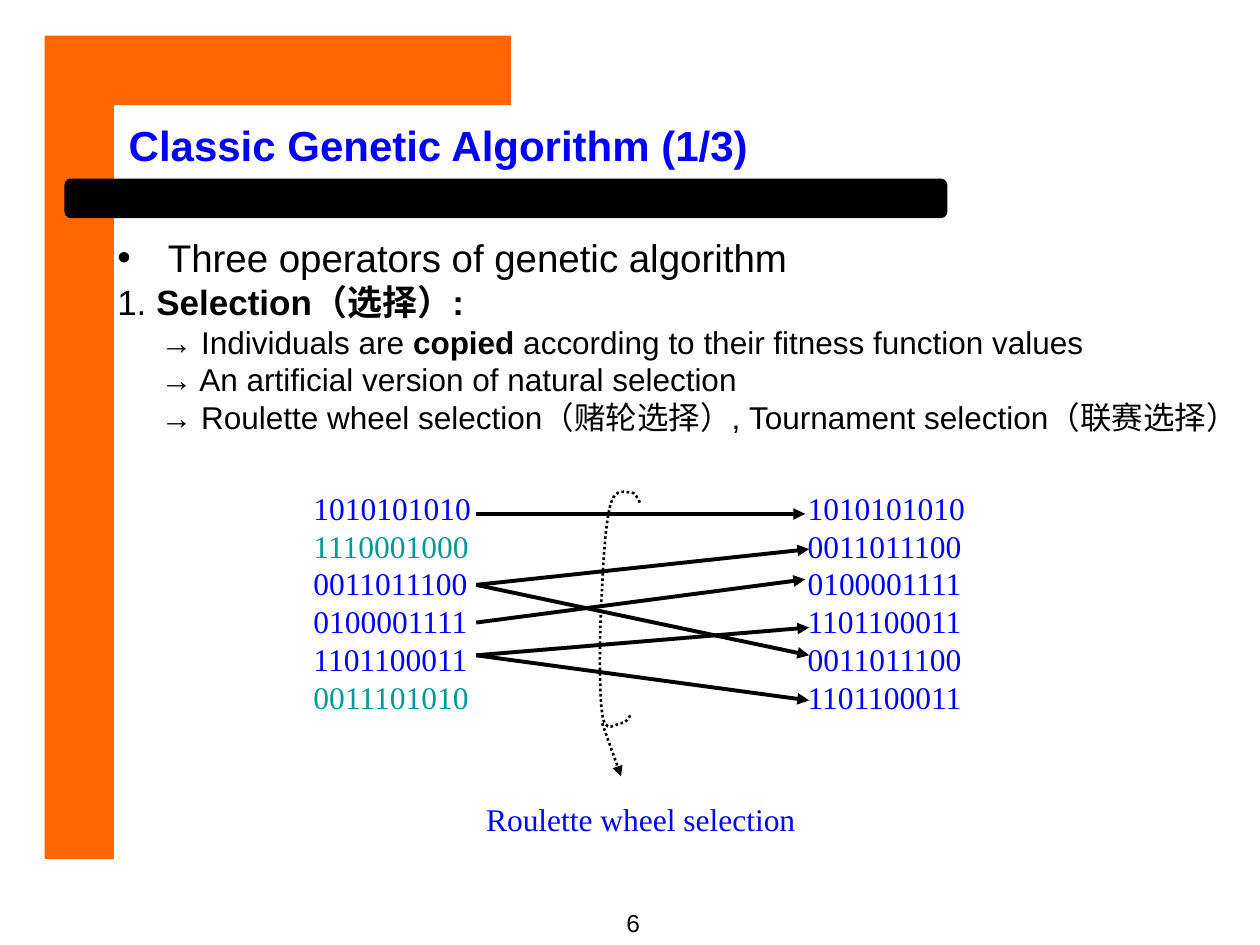
from lxml.etree import SubElement
from pptx import Presentation
from pptx.dml.color import RGBColor
from pptx.enum.dml import MSO_LINE
from pptx.enum.shapes import MSO_CONNECTOR, MSO_SHAPE
from pptx.enum.text import MSO_ANCHOR, MSO_AUTO_SIZE, PP_ALIGN
from pptx.oxml.ns import qn
from pptx.util import Cm, Pt

THEME = {
    "orange": RGBColor(0xFF, 0x66, 0x00),
    "black": RGBColor(0, 0, 0),
    "white": RGBColor(0xFF, 0xFF, 0xFF),
    "blue": RGBColor(0, 0, 0xFF),
    "teal": RGBColor(0, 0x99, 0x99),
    "sans": "Arial",
    "serif": "Times New Roman",
    "title": 24,
    "lead": 22,
    "heading": 20,
    "text": 18,
    "number": 14,
}


def add_runs(paragraph, runs, size, font="sans", color="black"):
    """Write (text, bold) runs with line spacing of 1.2 times the size."""
    paragraph.line_spacing = Pt(round(1.2 * THEME[size], 1))
    paragraph.space_before = Pt(0)
    for text, bold in runs:
        run = paragraph.add_run()
        run.text = text
        formats = {"name": THEME[font], "size": Pt(THEME[size]), "bold": bold}
        for name, value in formats.items():
            setattr(run.font, name, value)
        run.font.color.rgb = THEME[color]


def add_arrow(start, end, width, dash=None):
    points = [Cm(value) for value in (*start, *end)]
    arrow = slide.shapes.add_connector(MSO_CONNECTOR.STRAIGHT, *points)
    arrow.line.color.rgb = THEME["black"]
    arrow.line.width = Pt(width)
    if dash:
        arrow.line.dash_style = dash
    properties = arrow.element.spPr
    SubElement(properties.find(qn("a:ln")), qn("a:tailEnd"), type="triangle")
    SubElement(properties, qn("a:effectLst"))


presentation = Presentation()
presentation.slide_width, presentation.slide_height = Cm(25.4), Cm(19.05)
slide = presentation.slides.add_slide(presentation.slide_layouts[1])
title, body = slide.placeholders

# Frame and title bar, behind the text
for kind, box, color in (
    (MSO_SHAPE.RECTANGLE, (0.9, 0.72, 1.4, 16.6), "orange"),
    (MSO_SHAPE.RECTANGLE, (2.3, 0.72, 8, 1.4), "orange"),
    (MSO_SHAPE.ROUNDED_RECTANGLE, (1.3, 3.6, 17.8, 0.8), "black"),
):
    shape = slide.shapes.add_shape(kind, *map(Cm, box))
    shape.shadow.inherit = False
    shape.fill.solid()
    shape.fill.fore_color.rgb = THEME[color]
    shape.line.fill.background()
    title.element.addprevious(shape.element)

# Title and list
for placeholder, box, anchor in (
    (title, (2.34, 2.31, 20.17, 1.2), MSO_ANCHOR.MIDDLE),
    (body, (2.11, 4.6, 23.22, 5.08), MSO_ANCHOR.TOP),
):
    for name, value in zip(("left", "top", "width", "height"), box):
        setattr(placeholder, name, Cm(value))
    frame = placeholder.text_frame
    frame.auto_size = MSO_AUTO_SIZE.NONE
    frame.word_wrap = True
    frame.vertical_anchor = anchor

paragraph = title.text_frame.paragraphs[0]
paragraph.alignment = PP_ALIGN.LEFT
add_runs(paragraph, [("Classic Genetic Algorithm (1/3)", True)], "title", color="blue")

# Each item: size, left margin, first-line indent, bullet, runs
items = [
    ("lead", 1.02, -1.02, "•", [("Three operators of genetic algorithm", False)]),
    ("heading", 0, 0, None, [("1. ", False), ("Selection（选择）:", True)]),
    ("text", 0, 0.88, None, [
        ("→ Individuals are ", False),
        ("copied", True),
        (" according to their fitness function values", False),
    ]),
    ("text", 0, 0.88, None, [("→ An artificial version of natural selection", False)]),
    ("text", 0, 0.88, None, [
        ("→ Roulette wheel selection（赌轮选择）, Tournament selection（联赛选择）", False),
    ]),
]
frame = body.text_frame
for index, (size, margin, indent, bullet, runs) in enumerate(items):
    paragraph = frame.add_paragraph() if index else frame.paragraphs[0]
    properties = paragraph._p.get_or_add_pPr()
    properties.set("marL", str(Cm(margin)))
    properties.set("indent", str(Cm(indent)))
    if bullet:
        SubElement(properties, qn("a:buChar"), char=bullet)
    else:
        SubElement(properties, qn("a:buNone"))
    add_runs(paragraph, runs, size)

# Population before and after selection
before = ["1010101010", "1110001000", "0011011100", "0100001111", "1101100011", "0011101010"]
after = ["1010101010", "0011011100", "0100001111", "1101100011", "0011011100", "1101100011"]
for left, population in ((6.07, before), (16.03, after)):
    column = slide.shapes.add_textbox(Cm(left), Cm(9.73), Cm(3.91), Cm(4.83))
    column.fill.solid()
    column.fill.fore_color.rgb = THEME["white"]
    frame = column.text_frame
    frame.word_wrap = True
    for index, individual in enumerate(population):
        paragraph = frame.add_paragraph() if index else frame.paragraphs[0]
        color = "blue" if individual in after else "teal"
        add_runs(paragraph, [(individual, False)], "text", "serif", color)

for start_y, end_x, end_y in (
    (10.36, 16.23, 10.36),
    (11.79, 16.31, 11.07),
    (11.79, 16.31, 13.21),
    (12.55, 16.23, 11.68),
    (13.21, 16.31, 12.65),
    (13.21, 16.31, 14.12),
):
    add_arrow((9.6, start_y), (end_x, end_y), 2.25)

# Label of the selection step
label = slide.shapes.add_shape(
    MSO_SHAPE.ROUNDED_RECTANGLE, Cm(9.4), Cm(15.65), Cm(7.04), Cm(1.7)
)
label.shadow.inherit = False
label.fill.solid()
label.fill.fore_color.rgb = THEME["white"]
label.line.fill.background()
label.text_frame.word_wrap = False
label.text_frame.vertical_anchor = MSO_ANCHOR.MIDDLE
paragraph = label.text_frame.paragraphs[0]
paragraph.alignment = PP_ALIGN.CENTER
add_runs(paragraph, [("Roulette wheel selection", False)], "text", "serif", "blue")

# Dotted loop: a start point, then three control points per curve
loop_points = [
    (12.9, 10.13),
    (12.85, 10.03), (12.8, 9.93), (12.73, 9.93),
    (12.62, 9.93), (12.42, 9.83), (12.32, 10.13),
    (12.22, 10.46), (12.17, 11.13), (12.14, 11.84),
    (12.09, 12.55), (12.07, 13.92), (12.14, 14.38),
    (12.19, 14.83), (12.42, 14.58), (12.52, 14.58),
    (12.62, 14.58), (12.67, 14.48), (12.73, 14.38),
]
start, *controls = [(Cm(x), Cm(y)) for x, y in loop_points]
builder = slide.shapes.build_freeform(*start)
builder.add_line_segments(controls, close=False)
loop = builder.convert_to_shape()
segments = list(loop.element.iter(qn("a:lnTo")))
for first in range(0, len(segments), 3):
    curve = SubElement(segments[first].getparent(), qn("a:cubicBezTo"))
    for segment in segments[first:first + 3]:
        curve.append(segment[0])
        segment.getparent().remove(segment)
loop.shadow.inherit = False
loop.fill.background()
loop.line.color.rgb = THEME["black"]
loop.line.width = Pt(1.5)
loop.line.dash_style = MSO_LINE.ROUND_DOT
add_arrow((12.14, 14.58), (12.52, 15.65), 1.5, MSO_LINE.ROUND_DOT)

# Page number
page = slide.shapes.add_textbox(Cm(12.09), Cm(18.19), Cm(1.35), Cm(0.81))
page.text_frame.word_wrap = True
paragraph = page.text_frame.paragraphs[0]
paragraph.alignment = PP_ALIGN.CENTER
add_runs(paragraph, [("6", False)], "number")

presentation.save("out.pptx")
